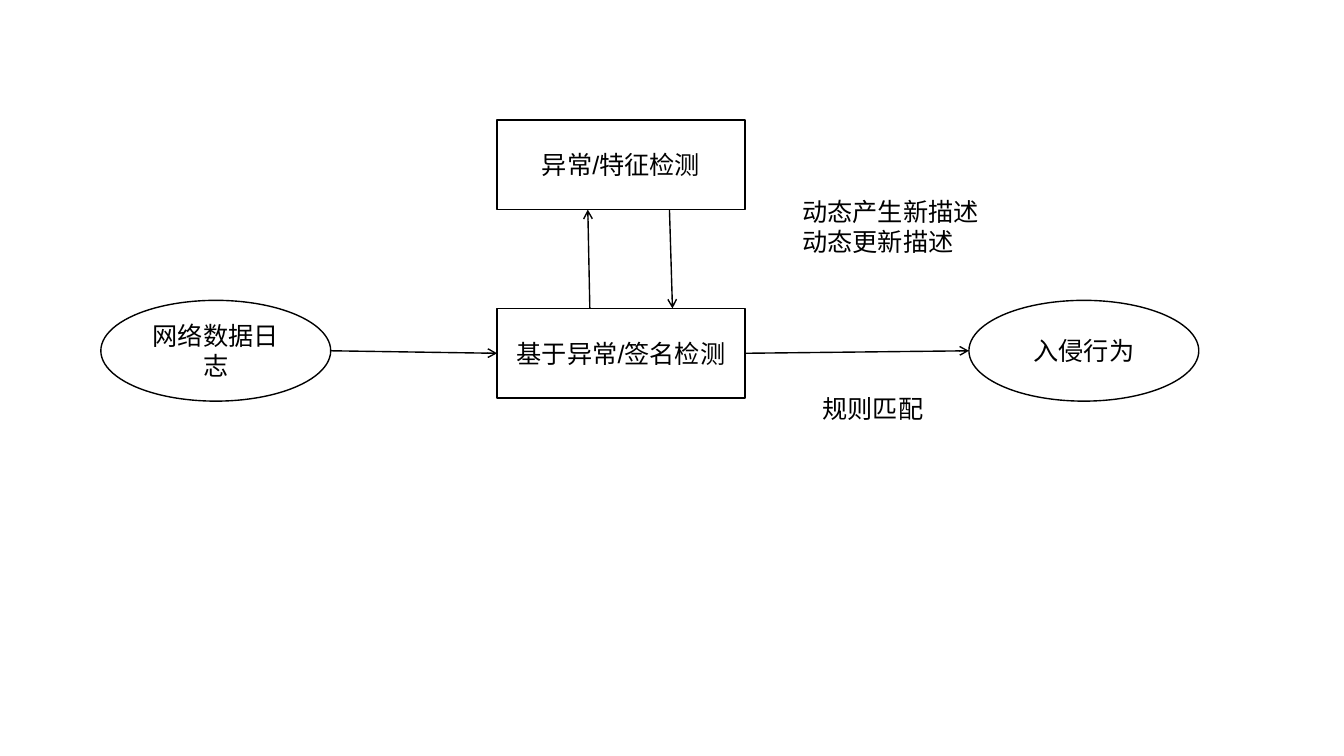
"""Build the intrusion detection flow slide."""
from dataclasses import dataclass

from lxml import etree
from pptx import Presentation
from pptx.dml.color import RGBColor
from pptx.enum.shapes import MSO_CONNECTOR, MSO_SHAPE
from pptx.enum.text import MSO_ANCHOR, MSO_AUTO_SIZE, PP_ALIGN
from pptx.oxml.ns import qn
from pptx.util import Inches, Pt

RECTANGLE, ELLIPSE = MSO_SHAPE.RECTANGLE, MSO_SHAPE.OVAL
STRAIGHT = MSO_CONNECTOR.STRAIGHT
MIDDLE, TOP = MSO_ANCHOR.MIDDLE, MSO_ANCHOR.TOP
CENTER, LEFT = PP_ALIGN.CENTER, PP_ALIGN.LEFT
FIT_SHAPE = MSO_AUTO_SIZE.SHAPE_TO_FIT_TEXT
LEFT_SIDE, RIGHT_SIDE = 1, 3


@dataclass(frozen=True)
class Theme:
    """Colours, type and line sizes of the slide."""
    ink: RGBColor = RGBColor(0, 0, 0)
    paper: RGBColor = RGBColor(255, 255, 255)
    font: str = "Arial"
    text_size: Pt = Pt(18)
    line_width: Pt = Pt(1)


THEME = Theme()
BOX_SIZE = (2.46, 0.89)
ELLIPSE_SIZE = (2.28, 1)
BOX_LEFT = 4.93
DETECTION_TOP, MATCHING_TOP = 1.19, 3.06
ELLIPSE_TOP = 2.98
LOG_LEFT, INTRUSION_LEFT = 1, 9.61


def set_values(target, values):
    """Set each attribute of the target from a dict."""
    for name, value in values.items():
        setattr(target, name, value)


def fill_paper(shape):
    """Fill a shape with the paper colour."""
    shape.fill.solid()
    shape.fill.fore_color.rgb = THEME.paper


def draw_line(line):
    """Give a line the ink colour and theme width."""
    line.color.rgb = THEME.ink
    line.width = THEME.line_width


def write_text(shape, lines, alignment, frame_format):
    """Write one paragraph for each line of text."""
    frame = shape.text_frame
    set_values(frame, {"word_wrap": True, **frame_format})
    frame.text = "\n".join(lines)
    for paragraph in frame.paragraphs:
        paragraph.alignment = alignment
        font = paragraph.runs[0].font
        set_values(font, {"name": THEME.font, "size": THEME.text_size})
        font.color.rgb = THEME.ink


def add_node(slide, kind, left, top, size, text):
    """Add an outlined node with centred text."""
    shape = slide.shapes.add_shape(kind, *map(Inches, (left, top, *size)))
    shape.shadow.inherit = False
    fill_paper(shape)
    draw_line(shape.line)
    write_text(shape, [text], CENTER, {"vertical_anchor": MIDDLE})
    return shape


def add_label(slide, left, top, width, height, lines):
    """Add a filled text box beside an arrow."""
    box = slide.shapes.add_textbox(*map(Inches, (left, top, width, height)))
    fill_paper(box)
    write_text(box, lines, LEFT, {"vertical_anchor": TOP, "auto_size": FIT_SHAPE})


def add_arrow(slide, start, end):
    """Add a straight line with an open arrowhead at its end."""
    connector = slide.shapes.add_connector(STRAIGHT, *map(Inches, (*start, *end)))
    draw_line(connector.line)
    line = connector.line._get_or_add_ln()
    etree.SubElement(line, qn("a:tailEnd"), type="arrow")
    etree.SubElement(connector._element.spPr, qn("a:effectLst"))
    return connector


def main():
    """Build and save the slide."""
    presentation = Presentation()
    set_values(presentation, {"slide_width": Inches(13.33), "slide_height": Inches(7.5)})
    slide = presentation.slides.add_slide(presentation.slide_layouts[6])

    add_node(slide, ELLIPSE, LOG_LEFT, ELLIPSE_TOP, ELLIPSE_SIZE, "网络数据日志")
    matching = add_node(slide, RECTANGLE, BOX_LEFT, MATCHING_TOP, BOX_SIZE, "基于异常/签名检测")
    add_node(slide, RECTANGLE, BOX_LEFT, DETECTION_TOP, BOX_SIZE, "异常/特征检测")
    add_node(slide, ELLIPSE, INTRUSION_LEFT, ELLIPSE_TOP, ELLIPSE_SIZE, "入侵行为")

    box_width, box_height = BOX_SIZE
    ellipse_width, ellipse_height = ELLIPSE_SIZE
    detection_bottom = DETECTION_TOP + box_height
    add_arrow(slide, (5.85, MATCHING_TOP), (5.83, detection_bottom))
    add_arrow(slide, (6.64, detection_bottom), (6.67, MATCHING_TOP))

    ellipse_middle = ELLIPSE_TOP + ellipse_height / 2
    box_middle = MATCHING_TOP + box_height / 2
    log_arrow = add_arrow(slide, (LOG_LEFT + ellipse_width, ellipse_middle), (BOX_LEFT, box_middle))
    log_arrow.end_connect(matching, LEFT_SIDE)
    intrusion_arrow = add_arrow(
        slide, (BOX_LEFT + box_width, box_middle), (INTRUSION_LEFT, ellipse_middle))
    intrusion_arrow.begin_connect(matching, RIGHT_SIDE)

    add_label(slide, 8.06, 3.85, 1.38, 0.4, ["规则匹配"])
    add_label(slide, 7.86, 1.9, 4.44, 0.71, ["动态产生新描述", "动态更新描述"])
    presentation.save("out.pptx")


if __name__ == "__main__":
    main()
